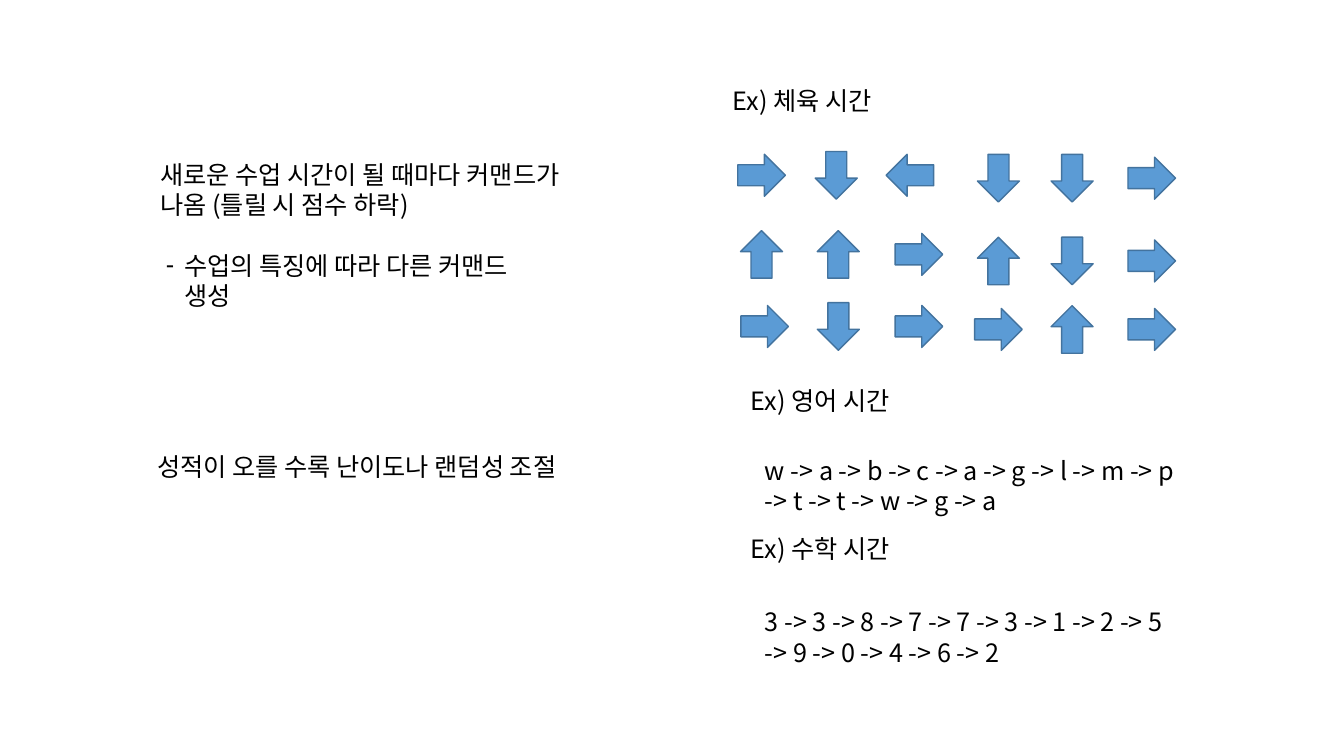
from lxml import etree
from pptx import Presentation
from pptx.dml.color import RGBColor
from pptx.enum.shapes import MSO_SHAPE
from pptx.enum.text import MSO_ANCHOR, MSO_AUTO_SIZE, PP_ALIGN
from pptx.oxml.ns import qn
from pptx.util import Pt

ARROW = MSO_SHAPE.RIGHT_ARROW
GROW = MSO_AUTO_SIZE.SHAPE_TO_FIT_TEXT
TOP = MSO_ANCHOR.TOP
LEFT = PP_ALIGN.LEFT

FONT = "Noto Sans CJK KR"
FONT_SIZE = 18
LINE_HEIGHT = 21.5
WIDE = 314
NARROW = 157

ROTATIONS = {"→": 0, "↓": 90, "←": 180, "↑": 270}
RIGHT_COLUMNS = [696.2, 748.8, 805.7]
# Directions, lefts of the first three arrows, tops of the two halves
COMMAND_ROWS = [
    ("→↓←↓↓→", [527, 580.3, 632.9], 110.2, 112.3),
    ("↑↑→↑↓→", [527, 581.8, 639.4], 166.7, 171.4),
    ("→↓→→↑→", [529.2, 581.8, 639.4], 218.2, 220.3),
]

# Text, left, top, width, height
TEXTS = [
    ("Ex) 체육 시간", 516.2, 57.6, NARROW, 29),
    ("Ex) 영어 시간", 529.2, 271.4, NARROW, 29),
    ("w -> a -> b -> c -> a -> g -> l -> m -> p -> t -> t -> w -> g -> a",
     539.3, 321.8, WIDE, 51),
    ("Ex) 수학 시간", 529.2, 377.3, NARROW, 29),
    ("3 -> 3 -> 8 -> 7 -> 7 -> 3 -> 1 -> 2 -> 5 -> 9 -> 0 -> 4 -> 6 -> 2",
     539.3, 429.8, WIDE, 51),
    ("성적이 오를 수록 난이도나 랜덤성 조절", 105.1, 319, WIDE, 51),
]


def color(hex_string):
    return RGBColor.from_string(hex_string)


def format_paragraph(para):
    para.alignment = LEFT
    para.space_before = Pt(0)
    for span in para.runs:
        span.font.size = Pt(FONT_SIZE)
        span.font.name = FONT
        span.font.color.rgb = color("000000")
        east_asian = etree.SubElement(span.font._element, qn("a:ea"))
        east_asian.set("typeface", FONT)


def set_bullet(para, character=None, margin=0, hanging=0):
    properties = para._p.get_or_add_pPr()
    properties.set("marL", str(Pt(margin)))
    properties.set("indent", str(-Pt(hanging)))
    if character:
        bullet = etree.SubElement(properties, qn("a:buChar"))
        bullet.set("char", character)
    else:
        etree.SubElement(properties, qn("a:buNone"))


def add_text(page, text, left, top, width, height):
    box = page.shapes.add_textbox(Pt(left), Pt(top), Pt(width), Pt(height))
    frame = box.text_frame
    frame.word_wrap = True
    frame.auto_size = GROW
    frame.text = text
    format_paragraph(frame.paragraphs[0])


def fill_rules(body):
    body.left, body.top = Pt(107.3), Pt(110.2)
    body.width, body.height = Pt(WIDE), Pt(116.6)
    frame = body.text_frame
    frame.word_wrap = True
    frame.auto_size = GROW
    frame.vertical_anchor = TOP
    frame.text = "새로운 수업 시간이 될 때마다 커맨드가 나옴 (틀릴 시 점수 하락)"
    rule = frame.paragraphs[0]
    format_paragraph(rule)
    set_bullet(rule)

    # The listed detail stands one line below the rule
    detail = frame.add_paragraph()
    detail.text = "수업의 특징에 따라 다른 커맨드\v생성"
    format_paragraph(detail)
    detail.space_before = Pt(LINE_HEIGHT)
    detail.font.size = Pt(FONT_SIZE)
    set_bullet(detail, "-", margin=17, hanging=13)


def add_arrow(page, direction, left, top):
    arrow = page.shapes.add_shape(ARROW, Pt(left), Pt(top), Pt(34), Pt(30))
    arrow.rotation = ROTATIONS[direction]
    arrow.shadow.inherit = False
    arrow.fill.solid()
    arrow.fill.fore_color.rgb = color("5B9BD5")
    arrow.line.color.rgb = color("43739E")
    arrow.line.width = Pt(1)


def main():
    deck = Presentation()
    deck.slide_width, deck.slide_height = Pt(960), Pt(540)
    page = deck.slides.add_slide(deck.slide_layouts[1])

    # Rules on the left; the slide has no title
    title = page.shapes.title._element
    title.getparent().remove(title)
    fill_rules(page.placeholders[1])

    # Arrow commands
    for directions, left_columns, left_top, right_top in COMMAND_ROWS:
        tops = [left_top] * 3 + [right_top] * 3
        for direction, left, top in zip(directions, left_columns + RIGHT_COLUMNS, tops):
            add_arrow(page, direction, left, top)

    # Headings, key sequences and the note on difficulty
    for text_and_place in TEXTS:
        add_text(page, *text_and_place)

    deck.save("out.pptx")


if __name__ == "__main__":
    main()
